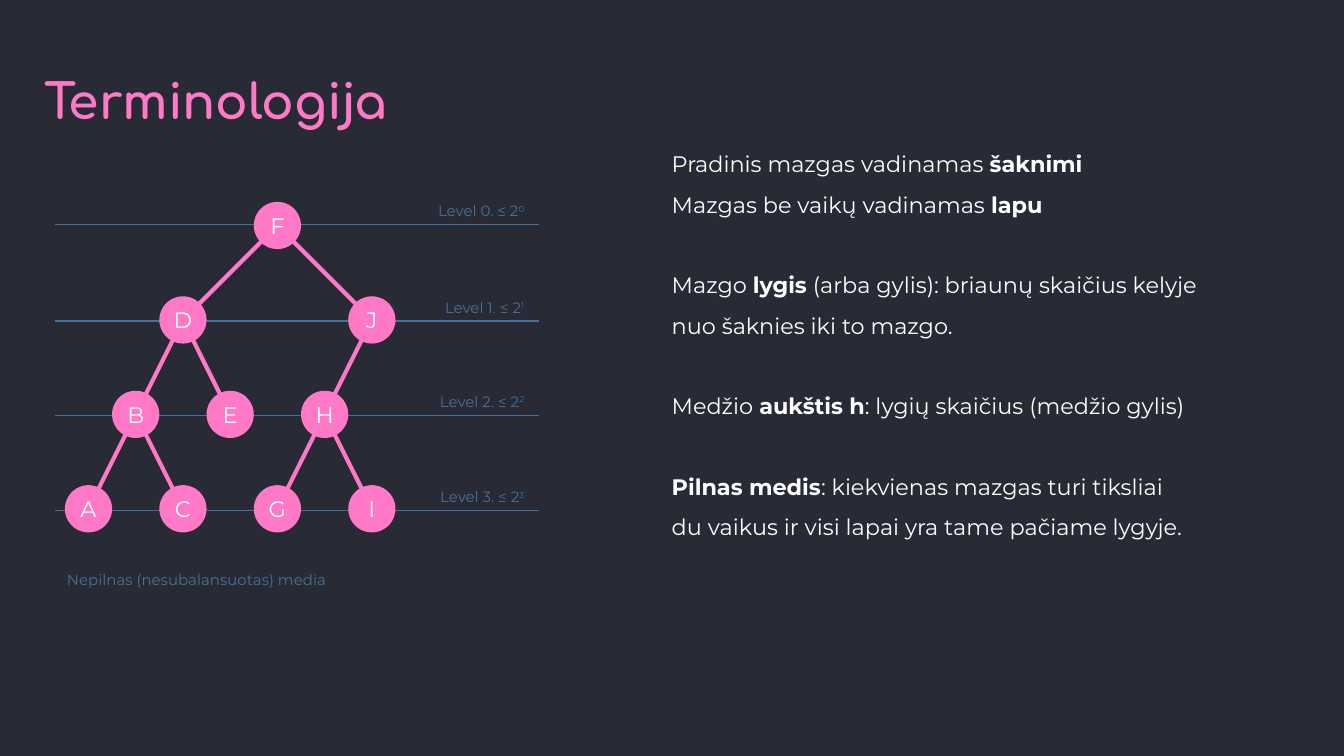
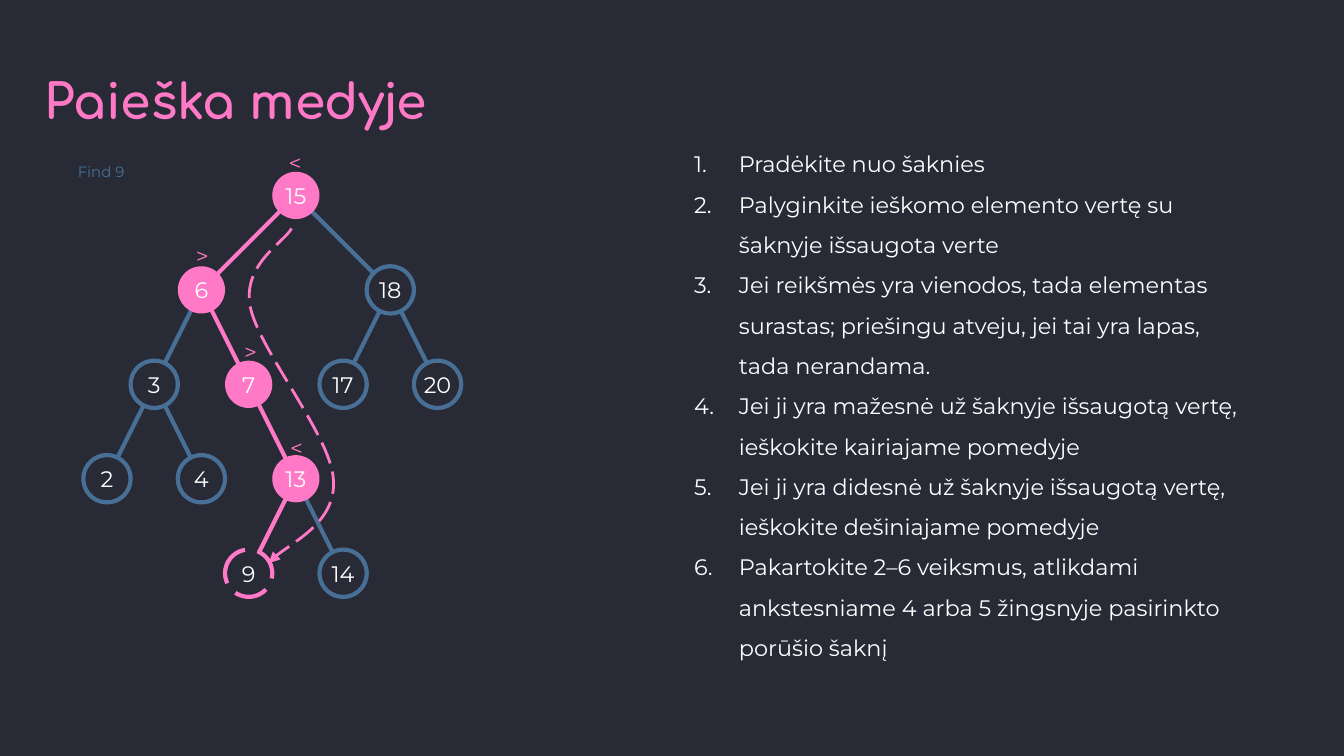
from lxml.etree import SubElement
from pptx import Presentation
from pptx.dml.color import RGBColor
from pptx.enum.dml import MSO_LINE
from pptx.enum.shapes import MSO_CONNECTOR, MSO_SHAPE
from pptx.enum.text import MSO_ANCHOR, PP_ALIGN
from pptx.oxml.ns import qn
from pptx.util import Pt

color = RGBColor.from_string
NIGHT, PINK, BLUE, WHITE = "282A36", "FF79C6", "487097", "FFFFFF"
STEP = 25.3  # node diameter, column pitch and half the row pitch


def write(box, lines, size, ink, face="Montserrat", margin=7.2,
          align=None, spacing=None, bold=None, numbered=False):
    """Fill a box with paragraphs; text between asterisks is bold."""
    frame = box.text_frame
    frame.word_wrap = True
    frame.margin_left = frame.margin_right = Pt(margin)
    frame.margin_top = frame.margin_bottom = Pt(margin)
    for index, line in enumerate(lines):
        para = frame.add_paragraph() if index else frame.paragraphs[0]
        para.alignment, para.line_spacing = align, spacing
        if numbered:
            properties = para._p.get_or_add_pPr()
            properties.set("marL", str(Pt(36)))
            properties.set("indent", str(-Pt(24)))
            bullet_color = SubElement(properties, qn("a:buClr"))
            SubElement(bullet_color, qn("a:srgbClr")).set("val", ink)
            SubElement(properties, qn("a:buAutoNum")).set("type", "arabicPeriod")
        para.font.name, para.font.size, para.font.bold = face, Pt(size), bold
        para.font.color.rgb = color(ink)
        for part, words in enumerate(line.split("*")):
            if words:
                span = para.add_run()
                span.text = words
                if part % 2:
                    span.font.bold = True
    return para


def draw_line(page, start, end, ink, width):
    line = page.shapes.add_connector(
        MSO_CONNECTOR.STRAIGHT, *[Pt(value) for value in (*start, *end)])
    line.line.color.rgb = color(ink)
    line.line.width = Pt(width)
    SubElement(line._element.spPr, qn("a:effectLst"))


deck = Presentation()
deck.slide_width, deck.slide_height = Pt(720), Pt(405)

terms = [
    "Pradinis mazgas vadinamas *šaknimi*",
    "Mazgas be vaikų vadinamas *lapu*",
    "Mazgo *lygis* (arba gylis): briaunų skaičius kelyje nuo šaknies iki to mazgo.",
    "Medžio *aukštis h*: lygių skaičius (medžio gylis)",
    "*Pilnas medis*: kiekvienas mazgas turi tiksliai",
    "du vaikus ir visi lapai yra tame pačiame lygyje.",
]
steps = [
    "Pradėkite nuo šaknies",
    "Palyginkite ieškomo elemento vertę su šaknyje išsaugota verte",
    "Jei reikšmės yra vienodos, tada elementas surastas; "
    "priešingu atveju, jei tai yra lapas, tada nerandama.",
    "Jei ji yra mažesnė už šaknyje išsaugotą vertę, ieškokite kairiajame pomedyje",
    "Jei ji yra didesnė už šaknyje išsaugotą vertę, ieškokite dešiniajame pomedyje",
    "Pakartokite 2–6 veiksmus, atlikdami ankstesniame 4 arba 5 žingsnyje "
    "pasirinkto porūšio šaknį",
]

# Shared frame: background, title and text column
pages = []
for title, lines, height, numbered in (
        ("Terminologija", terms, 214.6, False),
        ("Paieška medyje", steps, 241.2, True)):
    page = deck.slides.add_slide(deck.slide_layouts[6])
    page.background.fill.solid()
    page.background.fill.fore_color.rgb = color(NIGHT)
    box = page.shapes.add_textbox(Pt(16.6), Pt(15.1), Pt(316), Pt(41))
    write(box, [title], 26, PINK, "Comfortaa", spacing=1.5, bold=True)
    body = page.shapes.add_textbox(Pt(352.8), Pt(66.2), Pt(321), Pt(height))
    write(body, lines, 12, WHITE, spacing=1.5, numbered=numbered)
    if not numbered:
        for para in body.text_frame.paragraphs[2:5]:
            para.space_before = Pt(21.6)
    pages.append(page)
terms_page, search_page = pages

# Level lines behind the first tree
levels = (120.2, 172, 222.5, 273.6)
for y in levels:
    draw_line(terms_page, (29.3, y), (288.7, y), BLUE, 0.75)

# Trees: centre of the top left cell, nodes as (column, row), edges, visited nodes
letters = {"F": (4, 0), "D": (2, 1), "J": (6, 1), "B": (1, 2), "E": (3, 2),
           "H": (5, 2), "A": (0, 3), "C": (2, 3), "G": (4, 3), "I": (6, 3)}
numbers = {"15": (4, 0), "6": (2, 1), "18": (6, 1), "3": (1, 2), "7": (3, 2),
           "17": (5, 2), "20": (7, 2), "2": (0, 3), "4": (2, 3), "13": (4, 3),
           "9": (3, 4), "14": (5, 4)}
trees = (
    (terms_page, 47.4, 120.8, letters,
     "F-D F-J D-B D-E J-H B-A B-C H-G H-I", set(letters)),
    (search_page, 57.3, 104.7, numbers,
     "15-18 18-17 18-20 6-2 3-4 13-14 15-6 6-13 13-9", {"15", "6", "7", "13"}),
)
for page, left, top, nodes, edges, visited in trees:
    centres = {name: (left + column * STEP, top + row * 2 * STEP)
               for name, (column, row) in nodes.items()}
    for edge in edges.split():
        parent, child = edge.split("-")
        on_route = parent in visited and (child in visited or child == "9")
        draw_line(page, centres[parent], centres[child],
                  PINK if on_route else BLUE, 2.25)
    for name, (x, y) in centres.items():
        node = page.shapes.add_shape(
            MSO_SHAPE.OVAL, Pt(x - STEP / 2), Pt(y - STEP / 2), Pt(STEP), Pt(STEP))
        node.shadow.inherit = False
        node.fill.solid()
        node.fill.fore_color.rgb = color(PINK if name in visited else NIGHT)
        if name in visited:
            node.line.fill.background()
        else:
            node.line.color.rgb = color(PINK if name == "9" else BLUE)
            node.line.width = Pt(2.25)
            if name == "9":
                node.line.dash_style = MSO_LINE.LONG_DASH
        node.text_frame.vertical_anchor = MSO_ANCHOR.MIDDLE
        write(node, [name], 12, WHITE, margin=0, align=PP_ALIGN.CENTER)

# Level labels and tree caption
for level, y in enumerate(levels):
    box = terms_page.shapes.add_textbox(Pt(211), Pt(y - 17), Pt(77), Pt(24.5))
    para = write(box, [f"Level {level}. ≤ 2"], 8, BLUE, align=PP_ALIGN.RIGHT)
    power = para.add_run()
    power.text = str(level)
    power._r.get_or_add_rPr().set("baseline", "30000")
caption = terms_page.shapes.add_textbox(Pt(28.8), Pt(301), Pt(170), Pt(24.5))
write(caption, ["Nepilnas (nesubalansuotas) media"], 8, BLUE)

# Search route: three cubic curves, each with two control points and an end
points = [(Pt(x), Pt(y)) for x, y in (
    (156.2, 122.4),
    (152.6, 129.6), (130.3, 141.1), (133.9, 163.4),
    (137.5, 185.8), (177.1, 233.3), (178.6, 256.3),
    (180.7, 279.4), (149.8, 293.8), (144, 301.7))]
builder = search_page.shapes.build_freeform(*points[0])
builder.add_line_segments(points[1:], close=False)
route = builder.convert_to_shape()
segments = list(route._element.iter(qn("a:lnTo")))
for first in range(0, len(segments), 3):
    curve = SubElement(segments[first].getparent(), qn("a:cubicBezTo"))
    for segment in segments[first:first + 3]:
        curve.append(segment[0])
        segment.getparent().remove(segment)
route.shadow.inherit = False
route.fill.background()
route.line.color.rgb = color(PINK)
route.line.width = Pt(1.5)
route.line.dash_style = MSO_LINE.LONG_DASH
SubElement(route.line._get_or_add_ln(), qn("a:tailEnd")).set("type", "triangle")

# Comparison signs and search goal
for sign, x, y in (("<", 147.6, 72.7), (">", 97.9, 122.4),
                   (">", 123.8, 174.2), ("<", 148.3, 225.4)):
    box = search_page.shapes.add_textbox(Pt(x), Pt(y), Pt(19.4), Pt(28.8))
    write(box, [sign], 12, PINK)
goal = search_page.shapes.add_textbox(Pt(34.6), Pt(82.1), Pt(91.4), Pt(24.5))
write(goal, ["Find 9"], 8, BLUE)

deck.save("out.pptx")
